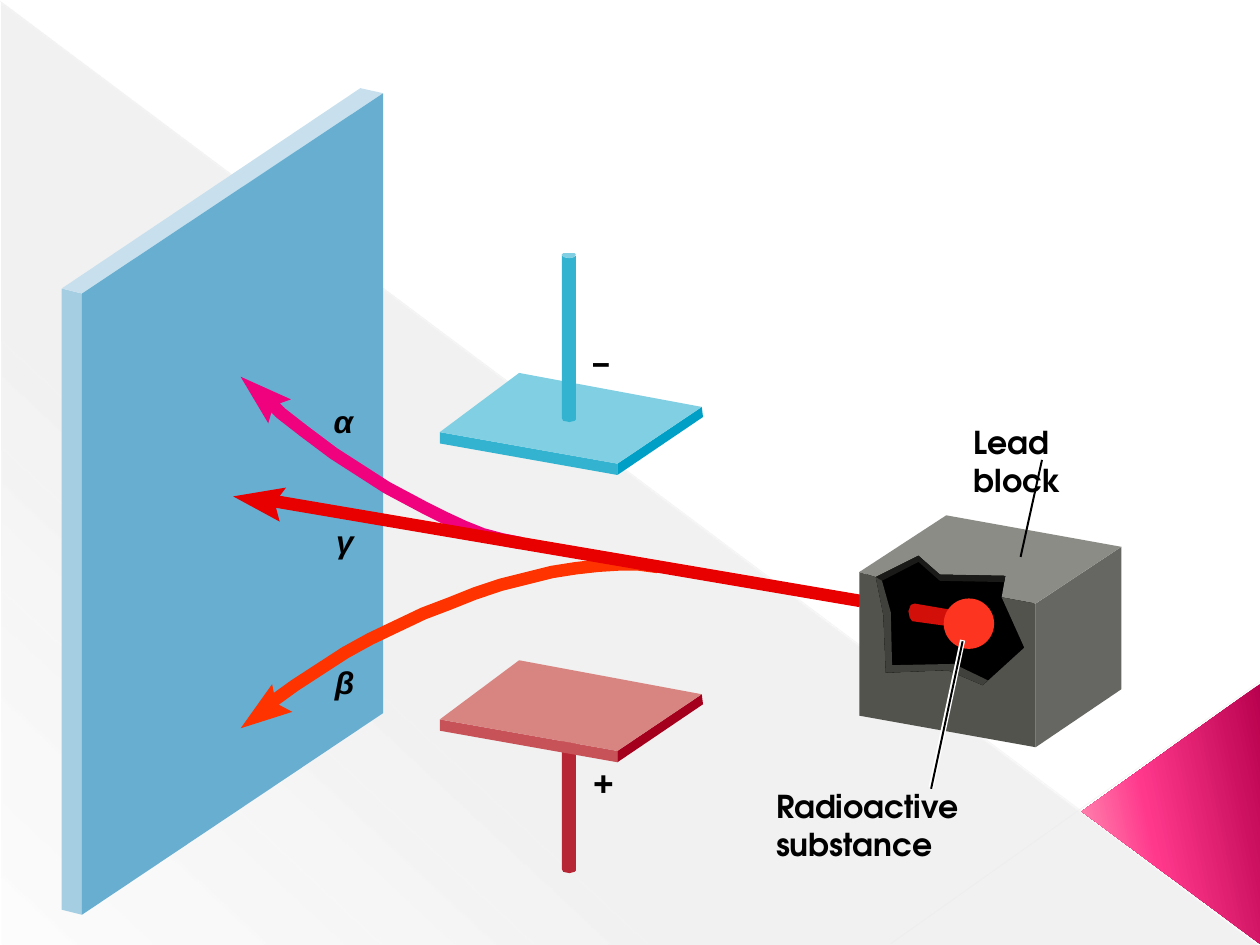
"""Build a slide showing alpha, beta and gamma rays deflected between charged plates."""
from pptx import Presentation
from pptx.dml.color import RGBColor
from pptx.enum.shapes import MSO_CONNECTOR, MSO_SHAPE
from pptx.oxml import parse_xml
from pptx.oxml.ns import nsdecls, qn
from pptx.util import Inches, Pt

COLORS = {
    "black": "000000", "white": "FFFFFF", "gray": "666666",
    "long edge": "E8E8E8", "short edge": "EAEAEA",
    "pink dark": "B8014E", "pink": "FF388C", "pink light": "FF9CB9",
    "screen side": "A5CEE3", "screen top": "C8E0EE", "screen front": "67AED1",
    "negative front": "34B3D1", "negative side": "00A0C6", "negative top": "80CFE2",
    "positive front": "C75257", "positive side": "A4001D", "positive top": "D88582",
    "positive rod": "B62635", "positive cap": "E27488",
    "alpha": "F0027F", "beta": "FF3300", "gamma": "E80000",
    "block side": "666662", "block top": "8C8C87", "block front": "53534E",
    "rim top": "1A1A18", "rim side": "40403C",
    "sample beam": "D21009", "sample": "FD341F",
}
RAY_WIDTH = 7.13
LABEL_FONT = "TeX Gyre Adventor"


def add_outline(shapes, points, color, line_width=None):
    """Add a filled polygon, or an open stroked curve if line_width is given."""
    corners = [(Inches(x), Inches(y)) for x, y in points]
    builder = shapes.build_freeform(*corners[0], scale=1.0)
    builder.add_line_segments(corners[1:], close=line_width is None)
    shape = builder.convert_to_shape()
    shape.shadow.inherit = False
    painted, empty = shape.fill, shape.line.fill
    if line_width:
        painted, empty = empty, painted
        shape.line.width = Pt(line_width)
    painted.solid()
    painted.fore_color.rgb = RGBColor.from_string(COLORS[color])
    empty.background()


def add_line(shapes, start, end, color, width, alpha=100):
    """Add a straight line without shadow; alpha is its opacity in percent."""
    line = shapes.add_connector(MSO_CONNECTOR.STRAIGHT, *map(Inches, start + end))
    line.line.width = Pt(width)
    line.line.color.rgb = RGBColor.from_string(COLORS[color])
    properties = line._element.spPr
    if alpha < 100:
        properties.find(".//" + qn("a:srgbClr")).append(
            parse_xml(f'<a:alpha {nsdecls("a")} val="{alpha * 1000}"/>'))
    properties.append(parse_xml(f'<a:effectLst {nsdecls("a")}/>'))


presentation = Presentation()
presentation.slide_width = Inches(10)
presentation.slide_height = Inches(7.5)
slide = presentation.slides.add_slide(presentation.slide_layouts[6])

gray_stops = [(0, "gray", 10), (70, "gray", 8), (100, "gray", 1)]
pink_stops = [(0, "pink dark", 100), (60, "pink", 100), (100, "pink light", 100)]
gray_triangle = slide.shapes.add_shape(
    MSO_SHAPE.RIGHT_TRIANGLE, Inches(0.01), Inches(0.02), Inches(9.98), Inches(7.48))
add_line(slide.shapes, (0, 0.01), (9.99, 7.49), "long edge", 0.39, 35)
add_line(slide.shapes, (10, 5.41), (7.07, 7.49), "short edge", 0.47, 45)
pink_triangle = slide.shapes.add_shape(
    MSO_SHAPE.ISOSCELES_TRIANGLE, Inches(8.26), Inches(5.75), Inches(2.07), Inches(1.42))
pink_triangle.rotation = 270
pink_triangle.adjustments[0] = 0.51
for shape, stops, angle in [(gray_triangle, gray_stops, 133), (pink_triangle, pink_stops, 258)]:
    shape.shadow.inherit = False
    shape.line.fill.background()
    shape.fill.background()
    stop_xml = "".join(
        f'<a:gs pos="{position * 1000}"><a:srgbClr val="{COLORS[color]}">'
        f'<a:alpha val="{alpha * 1000}"/></a:srgbClr></a:gs>'
        for position, color, alpha in stops)
    gradient = parse_xml(
        f'<a:gradFill {nsdecls("a")} rotWithShape="1"><a:gsLst>{stop_xml}</a:gsLst>'
        f'<a:lin ang="{angle * 60000}" scaled="0"/></a:gradFill>')
    properties = shape._element.spPr
    properties.replace(properties.find(qn("a:noFill")), gradient)

screen = slide.shapes.add_group_shape().shapes
add_outline(screen, [(0.65, 7.26), (0.65, 2.33), (0.49, 2.29), (0.49, 7.22)], "screen side")
add_outline(screen, [(3.04, 0.74), (0.65, 2.33), (0.49, 2.29), (2.86, 0.7)], "screen top")
add_outline(screen, [(0.65, 7.26), (0.65, 2.33), (3.04, 0.74), (3.04, 5.66)], "screen front")

plate_faces = {
    "front": [(4.9, 3.77), (4.9, 3.68), (3.49, 3.43), (3.49, 3.52)],
    "side": [(4.9, 3.77), (4.9, 3.68), (5.57, 3.23), (5.58, 3.31)],
    "top": [(5.57, 3.23), (4.9, 3.68), (3.49, 3.43), (4.12, 2.96)],
}
rod_parts = {
    "rod": [(4.46, 2.02), (4.46, 3.32), (4.47, 3.34), (4.52, 3.35), (4.56, 3.34),
            (4.57, 3.33), (4.57, 2.03), (4.56, 2.04), (4.52, 2.05), (4.47, 2.04)],
    "cap": [(4.52, 2.05), (4.47, 2.04), (4.46, 2.02), (4.47, 2.01), (4.52, 2.01),
            (4.56, 2.01), (4.57, 2.02), (4.56, 2.04)],
}
rod_colors = {"negative rod": "negative front", "negative cap": "negative top"}
for charge, plate_drop, rod_drop, parts in [
        ("negative", 0, 0, plate_faces | rod_parts),
        ("positive", 2.28, 3.58, rod_parts | plate_faces)]:
    electrode = slide.shapes.add_group_shape().shapes
    for part, points in parts.items():
        drop = rod_drop if part in rod_parts else plate_drop
        name = f"{charge} {part}"
        add_outline(electrode, [(x, y + drop) for x, y in points], rod_colors.get(name, name))

rays = slide.shapes.add_group_shape().shapes
alpha_path = [(2.12, 3.17), (2.23, 3.28), (2.41, 3.42), (2.65, 3.6), (2.93, 3.78),
              (3.07, 3.87), (3.22, 3.95), (3.37, 4.03), (3.53, 4.11), (3.68, 4.18),
              (3.83, 4.24), (3.98, 4.28), (4.13, 4.31)]
beta_path = [(2.16, 5.57), (2.34, 5.44), (2.54, 5.31), (2.74, 5.18), (2.94, 5.07),
             (3.15, 4.97), (3.36, 4.87), (3.57, 4.79), (3.77, 4.71), (3.98, 4.64),
             (4.18, 4.59), (4.38, 4.54), (4.57, 4.51), (4.75, 4.49), (4.91, 4.48),
             (5.07, 4.48), (5.22, 4.5)]
add_outline(rays, alpha_path, "alpha", RAY_WIDTH)
add_outline(rays, [(2.13, 3.36), (1.91, 2.99), (2.31, 3.17), (2.17, 3.22)], "alpha")
add_outline(rays, beta_path, "beta", RAY_WIDTH)
add_outline(rays, [(2.32, 5.65), (1.91, 5.78), (2.16, 5.43), (2.19, 5.58)], "beta")
add_line(rays, (6.83, 4.77), (2.13, 3.97), "gamma", RAY_WIDTH)
add_outline(rays, [(2.22, 4.14), (1.85, 3.94), (2.27, 3.87), (2.18, 3.99)], "gamma")

block = slide.shapes.add_group_shape().shapes
for color, points in [
        ("black", [(8.2, 4.36), (7.14, 4.36), (6.84, 4.59), (6.85, 5.47), (8.2, 5.47)]),
        ("block side", [(8.22, 5.93), (8.22, 4.79), (8.9, 4.34), (8.9, 5.47)]),
        ("block top", [(8.22, 4.79), (7.95, 4.74), (7.98, 4.57), (7.46, 4.56), (7.29, 4.41),
                       (6.95, 4.58), (6.82, 4.54), (7.51, 4.09), (8.9, 4.34)]),
        ("block front", [(8.22, 4.79), (7.95, 4.74), (8.13, 5.14), (7.8, 5.44), (7.52, 5.32),
                         (7.03, 5.34), (7.01, 4.88), (6.95, 4.58), (6.82, 4.54),
                         (6.82, 5.68), (8.22, 5.93)]),
        ("rim top", [(7.98, 4.57), (7.46, 4.56), (7.29, 4.41), (6.95, 4.58), (7, 4.61),
                     (7.29, 4.46), (7.46, 4.61), (7.97, 4.62)]),
        ("rim side", [(6.95, 4.58), (7.01, 4.88), (7.03, 5.34), (7.52, 5.32), (7.8, 5.44),
                      (7.84, 5.4), (7.57, 5.27), (7.08, 5.28), (7.07, 4.86), (7, 4.61)])]:
    add_outline(block, points, color)

add_line(slide.shapes, (8.1, 4.42), (8.27, 3.65), "black", 1.13)
add_outline(slide.shapes, [(7.53, 4.97), (7.24, 4.93), (7.22, 4.9), (7.21, 4.85),
                           (7.23, 4.8), (7.26, 4.79), (7.55, 4.84)], "sample beam")
sample = slide.shapes.add_shape(
    MSO_SHAPE.OVAL, Inches(7.49), Inches(4.75), Inches(0.4), Inches(0.4))
sample.shadow.inherit = False
sample.fill.solid()
sample.fill.fore_color.rgb = RGBColor.from_string(COLORS["sample"])
sample.line.fill.background()
add_line(slide.shapes, (7.39, 6.25), (7.64, 5.08), "white", 3)
add_line(slide.shapes, (7.39, 6.26), (7.64, 5.09), "black", 1.13)

plain = {"name": LABEL_FONT, "size": Pt(18), "bold": True}
greek = {"name": "Arial", "size": Pt(18), "bold": True, "italic": True}
for text, left, top, width, height, wrap, font_format in [
        ("–", 4.71, 2.72, 0.14, 0.3, False, plain),
        ("+", 4.7, 6.04, 0.15, 0.3, False, plain),
        ("α", 2.55, 3.14, 0.36, 0.43, False, greek),
        ("β", 2.56, 5.21, 0.34, 0.43, False, greek),
        ("γ", 2.57, 4.09, 0.3, 0.43, False, greek),
        ("Lead block", 7.73, 3.36, 0.9, 0.6, True, plain),
        ("Radioactive substance", 6.16, 6.25, 1.7, 0.6, True, plain)]:
    label = slide.shapes.add_textbox(*map(Inches, (left, top, width, height)))
    frame = label.text_frame
    frame.word_wrap = wrap
    if font_format is plain:
        for side in ("left", "top", "right", "bottom"):
            setattr(frame, f"margin_{side}", 0)
    paragraph = frame.paragraphs[0]
    run = paragraph.add_run()
    run.text = text
    for attribute, value in font_format.items():
        setattr(run.font, attribute, value)
    run.font.color.rgb = RGBColor.from_string(COLORS["black"])

presentation.save("out.pptx")
